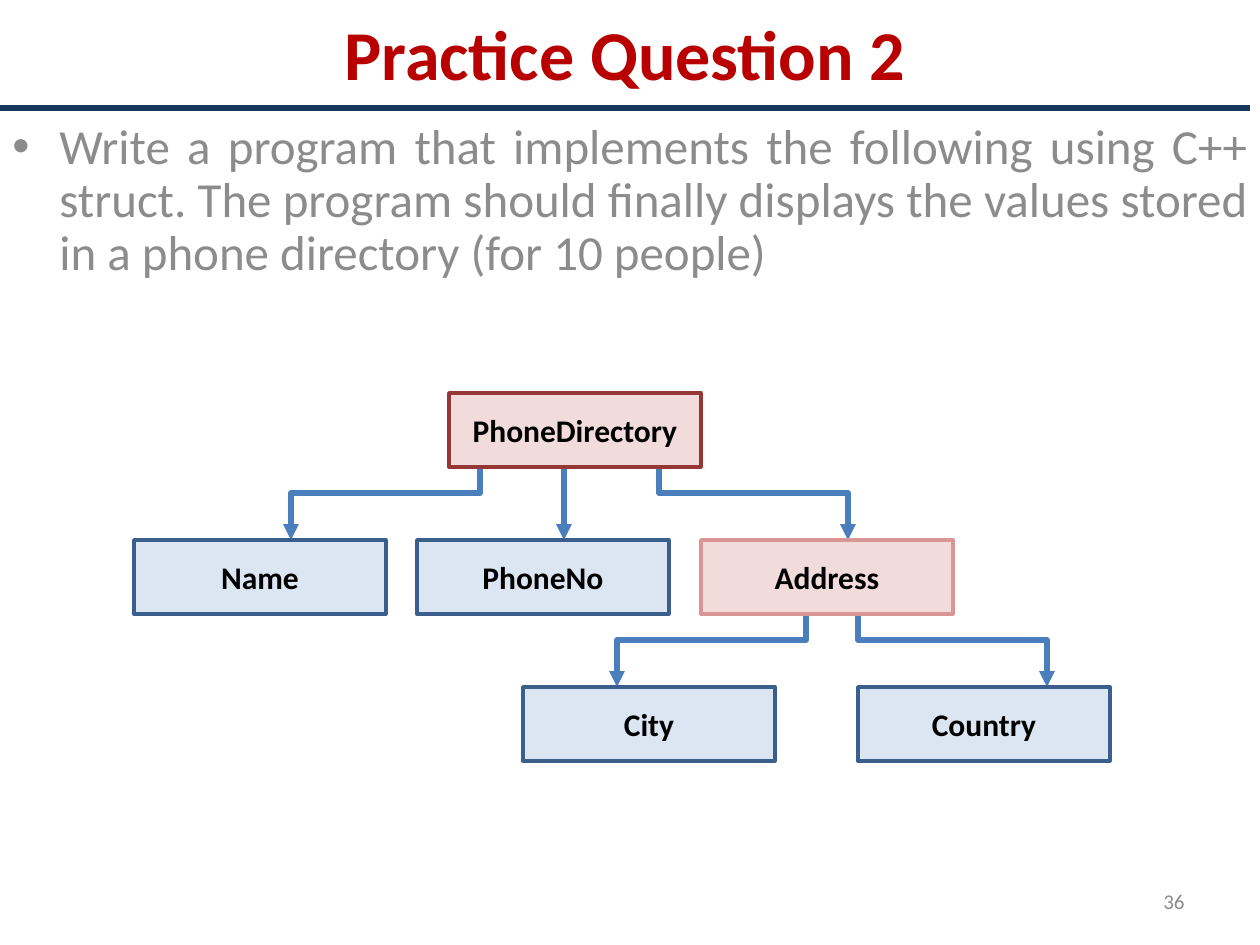
from typing import NamedTuple

from lxml import etree
from pptx import Presentation
from pptx.dml.color import RGBColor
from pptx.enum.shapes import MSO_CONNECTOR, MSO_SHAPE
from pptx.enum.text import MSO_ANCHOR, MSO_AUTO_SIZE, PP_ALIGN
from pptx.oxml.ns import qn
from pptx.util import Emu, Pt

RECT = MSO_SHAPE.RECTANGLE
STRAIGHT, ELBOW = MSO_CONNECTOR.STRAIGHT, MSO_CONNECTOR.ELBOW
TOP, MIDDLE = MSO_ANCHOR.TOP, MSO_ANCHOR.MIDDLE
CENTER, RIGHT, JUSTIFY = PP_ALIGN.CENTER, PP_ALIGN.RIGHT, PP_ALIGN.JUSTIFY
NO_FIT = MSO_AUTO_SIZE.NONE

PX_PER_INCH = 126
FONT = "Calibri"
GRAY, BLACK, RED, NAVY = "8C8C8C", "000000", "B80000", "17375E"
ARROW_BLUE = "4B7EBC"
BLUE_FILL, BLUE_LINE = "DCE6F2", "3A5F8C"
PINK_FILL, PINK_LINE, DARK_RED = "F2DCDB", "D99694", "953735"

NODE_W, NODE_H = 252, 74
ROOT_TOP, LEVEL_STEP = 393, 147
ARROW_RISE = 94
BULLET_INDENT = 47


class Node(NamedTuple):
    text: str
    left: int
    level: int
    fill: str = BLUE_FILL
    line: str = BLUE_LINE


class Arrow(NamedTuple):
    start_x: int
    end_x: int
    end_level: int


NODES = [
    Node("PhoneDirectory", 449, 0, PINK_FILL, DARK_RED),
    Node("Name", 134, 1),
    Node("PhoneNo", 417, 1),
    Node("Address", 701, 1, PINK_FILL, PINK_LINE),
    Node("City", 523, 2),
    Node("Country", 858, 2),
]
ARROWS = [
    Arrow(480, 291, 1),
    Arrow(564, 564, 1),
    Arrow(659, 848, 1),
    Arrow(806, 617, 2),
    Arrow(858, 1047, 2),
]


def px(n: float) -> Emu:
    return Emu(round(n * 914400 / PX_PER_INCH))


def rgb(color: str) -> RGBColor:
    return RGBColor.from_string(color)


def level_top(level: int) -> int:
    return ROOT_TOP + level * LEVEL_STEP


def write(s, text: str, size: int, color: str, align, anchor=MIDDLE, bold=False):
    """Put one formatted run in the shape and return its paragraph."""
    tf = s.text_frame
    tf.word_wrap = True
    tf.auto_size = NO_FIT
    tf.vertical_anchor = anchor
    p = tf.paragraphs[0]
    p.alignment = align
    r = p.add_run()
    r.text = text
    r.font.name = FONT
    r.font.size = Pt(size)
    r.font.bold = bold
    r.font.color.rgb = rgb(color)
    return p


def add_rect(slide, left: int, top: int, width: int, height: int, fill: str):
    s = slide.shapes.add_shape(RECT, px(left), px(top), px(width), px(height))
    s.shadow.inherit = False
    s.fill.solid()
    s.fill.fore_color.rgb = rgb(fill)
    s.line.fill.background()
    return s


def add_node(slide, node: Node) -> None:
    s = add_rect(slide, node.left, level_top(node.level), NODE_W, NODE_H, node.fill)
    s.line.color.rgb = rgb(node.line)
    s.line.width = Pt(2)
    write(s, node.text, 18, BLACK, CENTER, bold=True)


def add_arrow(slide, arrow: Arrow) -> None:
    """Draw down to a node; an elbow is laid out sideways and turned a quarter."""
    x1, x2 = arrow.start_x, arrow.end_x
    y2 = level_top(arrow.end_level)
    y1 = y2 - ARROW_RISE
    if x1 == x2:
        c = slide.shapes.add_connector(STRAIGHT, px(x1), px(y1), px(x2), px(y2))
    else:
        mid_x, mid_y = (x1 + x2) / 2, (y1 + y2) / 2
        half_w, half_h = ARROW_RISE / 2, abs(x2 - x1) / 2
        side = 1 if x2 > x1 else -1
        c = slide.shapes.add_connector(
            ELBOW, px(mid_x + side * half_w), px(mid_y - half_h),
            px(mid_x - side * half_w), px(mid_y + half_h))
        quarter_turns = 3 if side > 0 else 1
        xfrm = c._element.spPr.find(qn("a:xfrm"))
        xfrm.set("rot", str(quarter_turns * 90 * 60000))
    c.line.color.rgb = rgb(ARROW_BLUE)
    c.line.width = Pt(3)
    etree.SubElement(c.line._get_or_add_ln(), qn("a:tailEnd"), type="triangle")
    etree.SubElement(c._element.spPr, qn("a:effectLst"))


def add_text(slide, left: int, top: int, width: int, height: int):
    return slide.shapes.add_textbox(px(left), px(top), px(width), px(height))


def add_title(slide) -> None:
    s = slide.shapes.title
    s.left, s.top, s.width, s.height = px(0), px(0), px(1250), px(105)
    write(s, "Practice Question 2", 40, RED, CENTER, bold=True)


def add_question(slide) -> None:
    s = add_text(slide, 0, 116, 1260, 228)
    p = write(
        s,
        "Write a program that implements the following using C++ struct. "
        "The program should finally displays the values stored in a phone "
        "directory (for 10 people)",
        28, GRAY, JUSTIFY, TOP)
    p.line_spacing = 0.9
    pPr = p._p.get_or_add_pPr()
    pPr.set("marL", str(px(BULLET_INDENT)))
    pPr.set("indent", str(-px(BULLET_INDENT)))
    etree.SubElement(pPr, qn("a:buFont"), typeface="Arial")
    etree.SubElement(pPr, qn("a:buChar"), char="•")


def main() -> None:
    prs = Presentation()
    prs.slide_width, prs.slide_height = px(1260), px(945)
    slide = prs.slides.add_slide(prs.slide_layouts[5])
    add_title(slide)
    add_rect(slide, 0, 105, 1250, 6, NAVY)
    add_question(slide)
    for arrow in ARROWS:
        add_arrow(slide, arrow)
    for node in NODES:
        add_node(slide, node)
    write(add_text(slide, 903, 876, 294, 50), "36", 12, GRAY, RIGHT)
    prs.save("out.pptx")


if __name__ == "__main__":
    main()
